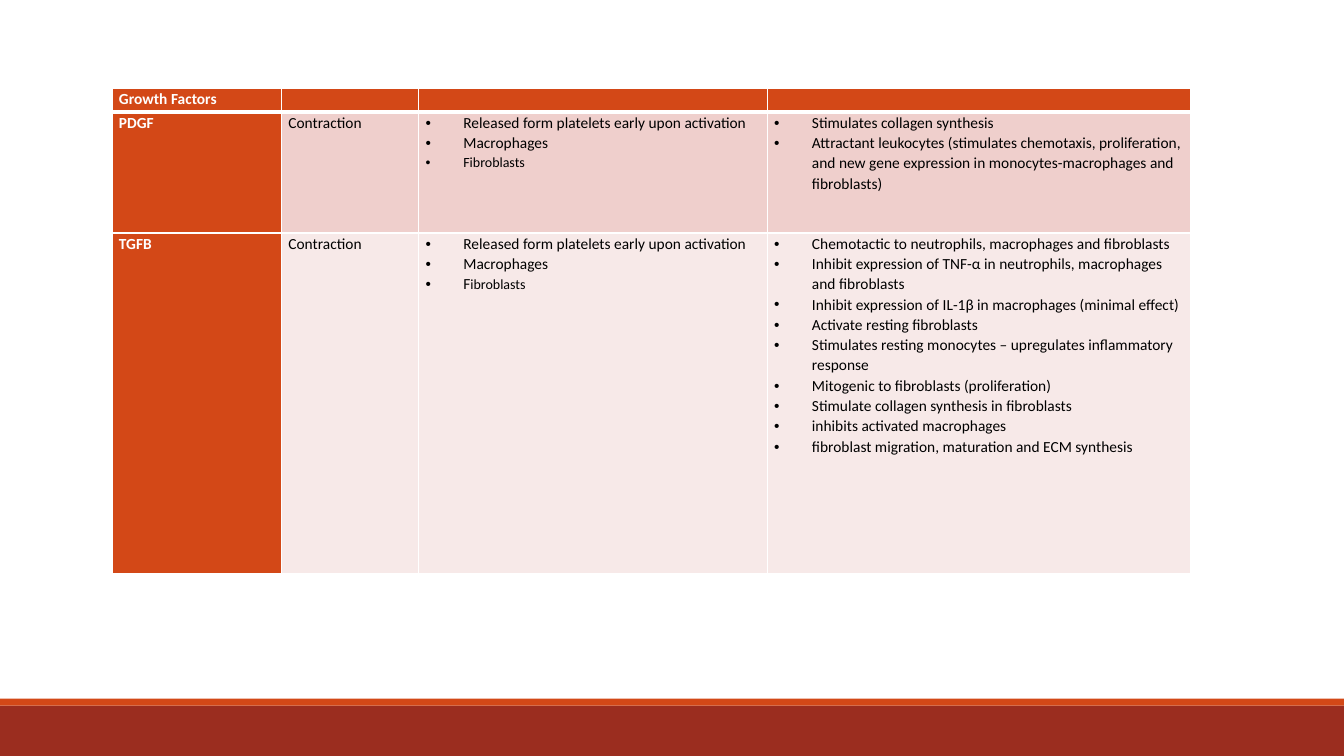
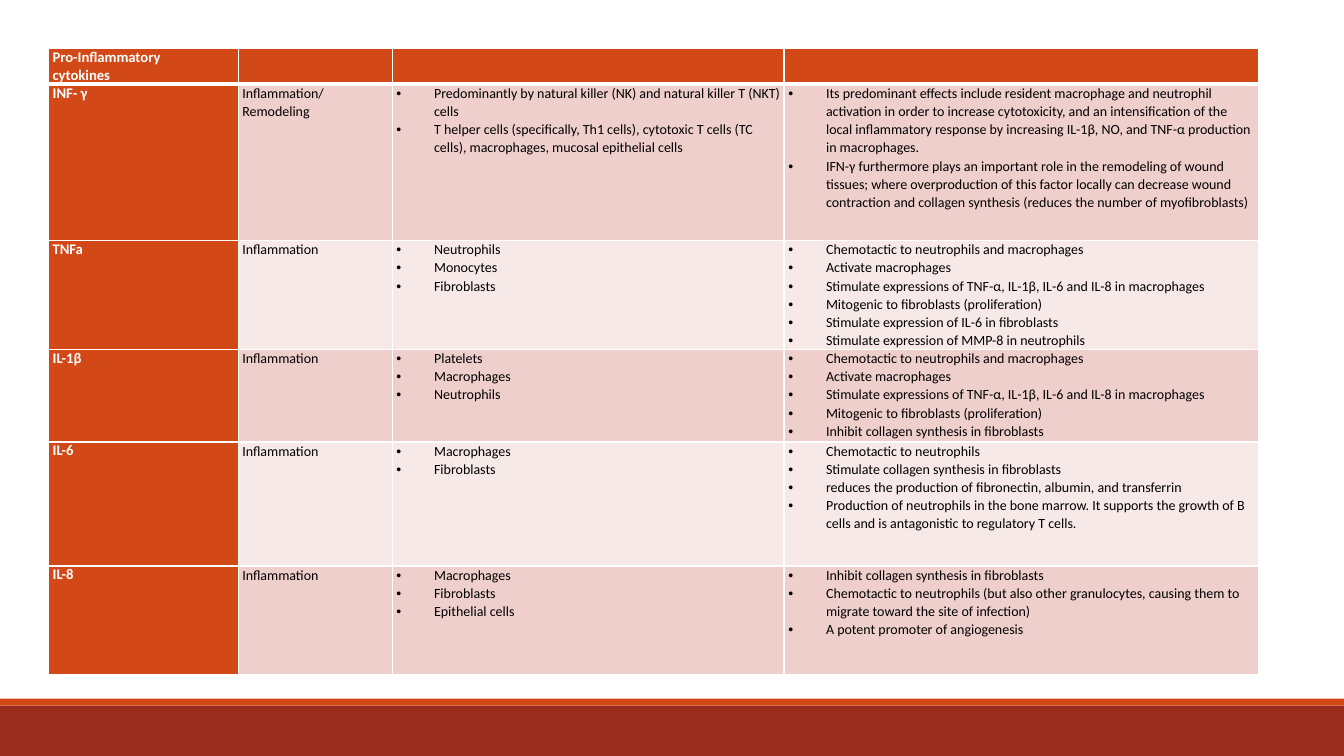
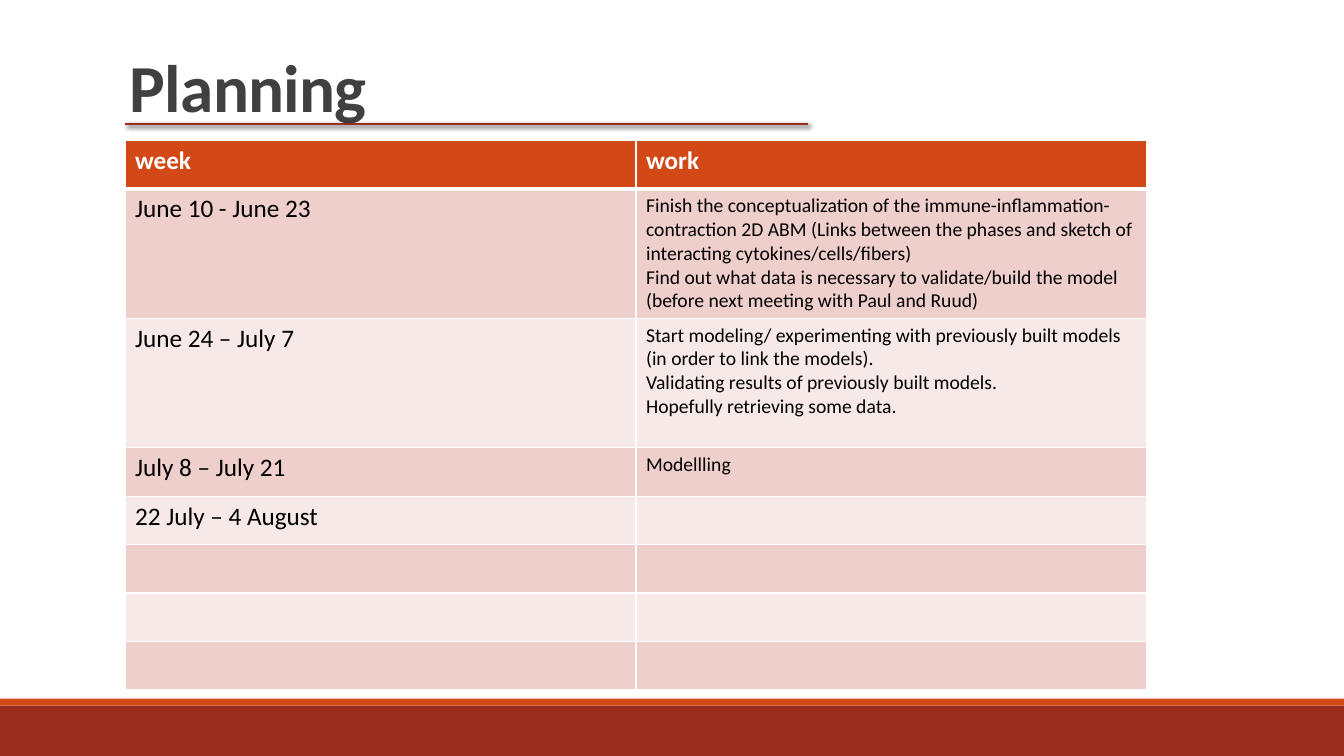
import dataclasses

import lxml.etree
import pptx
import pptx.dml.color
import pptx.enum.shapes
import pptx.enum.text
import pptx.oxml.ns
import pptx.util

Pt = pptx.util.Pt
qn = pptx.oxml.ns.qn
rgb = pptx.dml.color.RGBColor.from_string


@dataclasses.dataclass(frozen=True)
class Theme:
    font: str = "Calibri"
    white: str = "FFFFFF"
    ink: str = "000000"
    title: str = "404040"
    orange: str = "D34817"
    brick: str = "9B2D1F"
    rows: tuple = ("EFCFCC", "F7E9E8")
    title_size: float = 48
    planning_size: float = 18
    work_size: float = 14
    factor_size: float = 11
    label_size: float = 10.5
    cytokine_size: float = 10
    hanging: float = 27


@dataclasses.dataclass(frozen=True)
class Box:
    left: float
    top: float
    width: float
    height: float

    def lengths(self):
        return [Pt(value) for value in dataclasses.astuple(self)]


@dataclasses.dataclass(frozen=True)
class Column:
    width: float
    size: float
    spacing: float = 1
    label: bool = False
    bullet: bool = False


THEME = Theme()
PAGE = Box(0, 0, 960, 540)
BLANK, TITLE_ONLY = 6, 5

FACTOR_COLUMNS = [
    Column(121, THEME.factor_size, 1.07, label=True),
    Column(98, THEME.factor_size, 1.07),
    Column(249, THEME.factor_size, 1.07, bullet=True),
    Column(302.4, THEME.factor_size, 1.07, bullet=True),
]
FACTOR_HEIGHTS = [16.6, 86.4, 243.6]
FACTOR_ROWS = [
    [["Growth Factors"], [], [], []],
    [
        ["PDGF"],
        ["Contraction"],
        ["Released form platelets early upon activation", "Macrophages", [("Fibroblasts", 10)]],
        [
            "Stimulates collagen synthesis",
            "Attractant leukocytes (stimulates chemotaxis, proliferation, and new gene expression in monocytes-macrophages and fibroblasts)",
        ],
    ],
    [
        ["TGFB"],
        ["Contraction"],
        ["Released form platelets early upon activation", "Macrophages", [("F", 11), ("ibroblasts", 10)]],
        [
            "Chemotactic to neutrophils, macrophages and fibroblasts",
            "Inhibit expression of TNF-α in neutrophils, macrophages and fibroblasts",
            "Inhibit expression of IL-1β in macrophages (minimal effect)",
            "Activate resting fibroblasts",
            "Stimulates resting monocytes – upregulates inflammatory response",
            "Mitogenic to fibroblasts (proliferation)",
            "Stimulate collagen synthesis in fibroblasts",
            "inhibits activated macrophages",
            "fibroblast migration, maturation and ECM synthesis",
        ],
    ],
]

CYTOKINE_COLUMNS = [
    Column(135.5, THEME.label_size, label=True),
    Column(110, THEME.cytokine_size, 1.07),
    Column(280, THEME.cytokine_size, 1.07, bullet=True),
    Column(339, THEME.cytokine_size, 1.07, bullet=True),
]
CYTOKINE_HEIGHTS = [25, 111.6, 77.8, 66.2, 88.6, 77.8]
SHARED_EFFECTS = [
    "Chemotactic to neutrophils and macrophages",
    "Activate macrophages",
    "Stimulate expressions of TNF-α, IL-1β, IL-6 and IL-8 in macrophages",
    "Mitogenic to fibroblasts (proliferation)",
]
CYTOKINE_ROWS = [
    [["Pro-Inflammatory", "cytokines"], [], [], []],
    [
        ["INF- γ"],
        ["Inflammation/ Remodeling"],
        [
            "Predominantly by natural killer (NK) and natural killer T (NKT) cells",
            "T helper cells (specifically, Th1 cells), cytotoxic T cells (TC cells), macrophages, mucosal epithelial cells",
        ],
        [
            "Its predominant effects include resident macrophage and neutrophil activation in order to increase cytotoxicity, and an intensification of the local inflammatory response by increasing IL-1β, NO, and TNF-α production in macrophages.",
            "IFN-γ furthermore plays an important role in the remodeling of wound tissues; where overproduction of this factor locally can decrease wound contraction and collagen synthesis (reduces the number of myofibroblasts)",
        ],
    ],
    [
        ["TNFa"],
        ["Inflammation"],
        ["Neutrophils", "Monocytes", "Fibroblasts"],
        SHARED_EFFECTS
        + ["Stimulate expression of IL-6 in fibroblasts", "Stimulate expression of MMP-8 in neutrophils"],
    ],
    [
        ["IL-1β"],
        ["Inflammation"],
        ["Platelets", "Macrophages", "Neutrophils"],
        SHARED_EFFECTS + ["Inhibit collagen synthesis in fibroblasts"],
    ],
    [
        ["IL-6"],
        ["Inflammation"],
        ["Macrophages", "Fibroblasts"],
        [
            "Chemotactic to neutrophils",
            "Stimulate collagen synthesis in fibroblasts",
            "reduces the production of fibronectin, albumin, and transferrin",
            "Production of neutrophils in the bone marrow. It supports the growth of B cells and is antagonistic to regulatory T cells.",
        ],
    ],
    [
        ["IL-8"],
        ["Inflammation"],
        ["Macrophages", "Fibroblasts", "Epithelial cells"],
        [
            "Inhibit collagen synthesis in fibroblasts",
            "Chemotactic to neutrophils (but also other granulocytes, causing them to migrate toward the site of infection)",
            "A potent promoter of angiogenesis",
        ],
    ],
]

PLANNING_COLUMNS = [Column(365, THEME.planning_size), Column(365, THEME.work_size)]
PLANNING_HEIGHTS = [34.6, 92.5, 92.5] + [34.6] * 5
PLANNING_ROWS = [
    [["week"], [[("work", THEME.planning_size)]]],
    [
        ["June 10 - June 23"],
        [
            "Finish the conceptualization of the immune-inflammation-contraction 2D ABM (Links between the phases and sketch of interacting cytokines/cells/fibers)",
            "Find out what data is necessary to validate/build the model (before next meeting with Paul and Ruud)",
        ],
    ],
    [
        ["June 24 – July 7"],
        [
            "Start modeling/ experimenting with previously built models (in order to link the models).",
            "Validating results of previously built models.",
            "Hopefully retrieving some data.",
        ],
    ],
    [["July 8 – July 21"], ["Modellling"]],
    [["22 July – 4 August"], []],
    [[], []],
    [[], []],
    [[], []],
]


def add_run(paragraph, text, size, color, bold):
    run = paragraph.add_run()
    run.text = text
    run.font.name = THEME.font
    run.font.size = Pt(size)
    run.font.bold = bold
    run.font.color.rgb = rgb(color)
    return run


def add_bands(slide, box):
    bands = [
        (Box(box.left, box.top + 5, box.width, box.height - 5), THEME.brick),
        (Box(box.left, box.top, box.width, 5), THEME.orange),
    ]
    for band, color in bands:
        shape = slide.shapes.add_shape(pptx.enum.shapes.MSO_SHAPE.RECTANGLE, *band.lengths())
        shape.shadow.inherit = False
        shape.fill.solid()
        shape.fill.fore_color.rgb = rgb(color)
        shape.line.fill.background()


def add_bullet(paragraph):
    properties = paragraph._p.get_or_add_pPr()
    properties.set("marL", str(Pt(THEME.hanging)))
    properties.set("indent", str(-Pt(THEME.hanging)))
    lxml.etree.SubElement(properties, qn("a:buFont"), typeface="Arial")
    lxml.etree.SubElement(properties, qn("a:buChar"), char="•")


def set_borders(cell, header):
    properties = cell._tc.get_or_add_tcPr()
    for side in ("lnL", "lnR", "lnT", "lnB"):
        width = Pt(3 if header and side == "lnB" else 1)
        line = lxml.etree.SubElement(properties, qn("a:" + side), w=str(width))
        fill = lxml.etree.SubElement(line, qn("a:solidFill"))
        lxml.etree.SubElement(fill, qn("a:srgbClr"), val=THEME.white)


def fill_cell(cell, content, column, row_index, insets):
    header = row_index == 0
    strong = header or column.label
    set_borders(cell, header)
    cell.fill.solid()
    cell.fill.fore_color.rgb = rgb(THEME.orange if strong else THEME.rows[(row_index - 1) % 2])
    cell.margin_left = cell.margin_right = Pt(insets[0])
    cell.margin_top = cell.margin_bottom = Pt(insets[1])
    frame = cell.text_frame
    for index, item in enumerate(content):
        paragraph = frame.add_paragraph() if index else frame.paragraphs[0]
        paragraph.line_spacing = column.spacing
        if column.bullet:
            add_bullet(paragraph)
        runs = [(item, column.size)] if isinstance(item, str) else item
        for text, size in runs:
            add_run(paragraph, text, size, THEME.white if strong else THEME.ink, strong)
    if not content:
        size = str(int(column.size * 100))
        lxml.etree.SubElement(frame.paragraphs[0]._p, qn("a:endParaRPr"), sz=size)


def add_grid(slide, box, columns, heights, rows, insets):
    table = slide.shapes.add_table(len(rows), len(columns), *box.lengths()).table
    total_width = sum(column.width for column in columns)
    for table_column, column in zip(table.columns, columns):
        table_column.width = Pt(box.width * column.width / total_width)
    for table_row, height in zip(table.rows, heights):
        table_row.height = Pt(box.height * height / sum(heights))
    for row_index, row in enumerate(rows):
        for column_index, content in enumerate(row):
            cell = table.cell(row_index, column_index)
            fill_cell(cell, content, columns[column_index], row_index, insets)


def add_title(slide, box, text):
    title = slide.shapes.title
    title.left, title.top, title.width, title.height = box.lengths()
    frame = title.text_frame
    frame.auto_size = pptx.enum.text.MSO_AUTO_SIZE.NONE
    frame.vertical_anchor = pptx.enum.text.MSO_ANCHOR.TOP
    frame.margin_left = Pt(28)
    paragraph = frame.paragraphs[0]
    paragraph.alignment = pptx.enum.text.PP_ALIGN.LEFT
    run = add_run(paragraph, text, THEME.title_size, THEME.title, True)
    run._r.get_or_add_rPr().set("spc", "-50")


def add_rule(slide, box):
    left, top, width, height = box.lengths()
    rule = slide.shapes.add_connector(
        pptx.enum.shapes.MSO_CONNECTOR.STRAIGHT, left, top, left + width, top + height
    )
    rule.line.color.rgb = rgb(THEME.brick)
    rule.line.width = Pt(2)
    effects = lxml.etree.SubElement(rule._element.spPr, qn("a:effectLst"))
    shadow = lxml.etree.SubElement(
        effects, qn("a:outerShdw"), blurRad=str(Pt(3)), dist=str(Pt(2)), dir=str(45 * 60000)
    )
    color = lxml.etree.SubElement(shadow, qn("a:srgbClr"), val=THEME.ink)
    lxml.etree.SubElement(color, qn("a:alpha"), val="60000")


def add_slide(presentation, layout):
    slide = presentation.slides.add_slide(presentation.slide_layouts[layout])
    add_bands(slide, Box(PAGE.left, 499, PAGE.width, PAGE.height - 499))
    return slide


def add_table_slide(presentation, box, columns, heights, rows, insets):
    slide = add_slide(presentation, BLANK)
    add_grid(slide, box, columns, heights, rows, insets)


def add_planning_slide(presentation, box):
    slide = add_slide(presentation, TITLE_ONLY)
    add_title(slide, Box(box.left - 24.5, box.top, 864, 108), "Planning")
    add_rule(slide, Box(box.left, box.top + 59.8, 488, 0))
    grid = Box(box.left, box.top + 71.5, box.width, box.height - 71.5)
    add_grid(slide, grid, PLANNING_COLUMNS, PLANNING_HEIGHTS, PLANNING_ROWS, (7.2, 3.6))


def main():
    presentation = pptx.Presentation()
    presentation.slide_width = Pt(PAGE.width)
    presentation.slide_height = Pt(PAGE.height)
    add_table_slide(
        presentation, Box(80, 63.4, 770.4, 346.6), FACTOR_COLUMNS, FACTOR_HEIGHTS, FACTOR_ROWS, (5, 0)
    )
    add_table_slide(
        presentation, Box(34.6, 34.6, 864.5, 447), CYTOKINE_COLUMNS, CYTOKINE_HEIGHTS, CYTOKINE_ROWS, (3, 0)
    )
    add_planning_slide(presentation, Box(89.3, 28.8, 730, 464.1))
    presentation.save("out.pptx")


if __name__ == "__main__":
    main()
